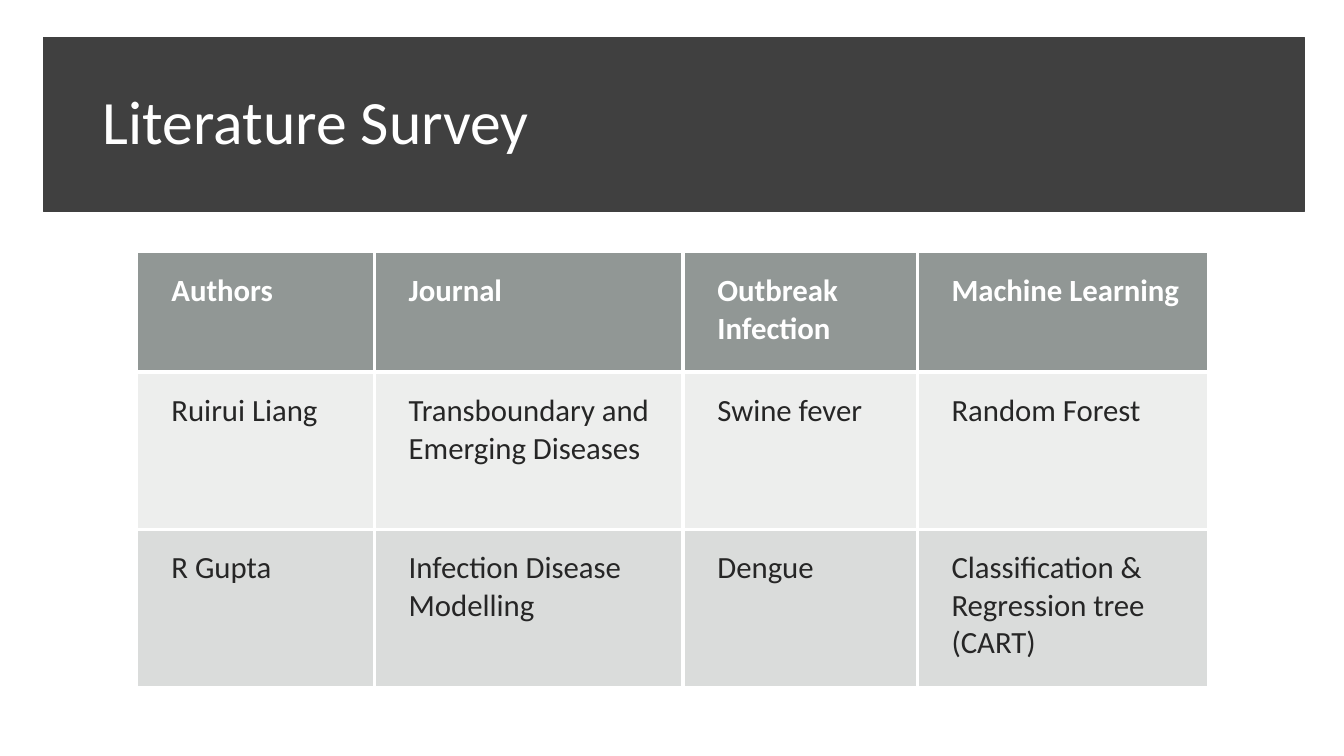
import dataclasses

import lxml.etree
import pptx
import pptx.dml.color
import pptx.enum.shapes
import pptx.enum.text
import pptx.oxml.ns
import pptx.util

Cm = pptx.util.Cm
Pt = pptx.util.Pt
qn = pptx.oxml.ns.qn


@dataclasses.dataclass(frozen=True)
class Theme:
    font: str = "Calibri"
    title_size: int = 44
    cell_size: int = 22
    banner: str = "404040"
    light: str = "FFFFFF"
    dark: str = "262626"
    header: tuple = ("636B68", 70)
    bands: tuple = (("878E8B", 15), ("878E8B", 30))
    rule_width: int = 3


def rgb(code):
    return pptx.dml.color.RGBColor.from_string(code)


def write(frame, text, *, font, size, color, bold=False, line_spacing=None):
    paragraph = frame.paragraphs[0]
    paragraph.alignment = pptx.enum.text.PP_ALIGN.LEFT
    if line_spacing:
        paragraph.line_spacing = line_spacing
    run = paragraph.add_run()
    run.text = text
    run.font.name = font
    run.font.size = Pt(size)
    run.font.bold = bold
    run.font.color.rgb = rgb(color)


class SlideBuilder:
    def __init__(self, deck, theme):
        self.theme = theme
        self.slide = deck.slides.add_slide(deck.slide_layouts[5])

    def banner(self, left, top, width, height):
        band = self.slide.shapes.add_shape(
            pptx.enum.shapes.MSO_SHAPE.RECTANGLE, left, top, width, height)
        band.shadow.inherit = False
        band.fill.solid()
        band.fill.fore_color.rgb = rgb(self.theme.banner)
        band.line.color.rgb = rgb(self.theme.banner)
        band.line.width = Pt(1)
        self.slide.shapes.title._element.addprevious(band._element)

    def title(self, text, left, top, width, height):
        heading = self.slide.shapes.title
        heading.left, heading.top = left, top
        heading.width, heading.height = width, height
        frame = heading.text_frame
        frame.word_wrap = True
        frame.auto_size = pptx.enum.text.MSO_AUTO_SIZE.NONE
        frame.vertical_anchor = pptx.enum.text.MSO_ANCHOR.MIDDLE
        write(frame, text, font=self.theme.font, size=self.theme.title_size,
              color=self.theme.light, line_spacing=0.9)

    def border(self, cell, side):
        rule = lxml.etree.SubElement(
            cell._tc.get_or_add_tcPr(), qn(f"a:ln{side}"), w=str(Pt(self.theme.rule_width)))
        fill = lxml.etree.SubElement(rule, qn("a:solidFill"))
        lxml.etree.SubElement(fill, qn("a:srgbClr"), val=self.theme.light)

    def shade(self, cell, color, opacity):
        cell.fill.solid()
        cell.fill.fore_color.rgb = rgb(color)
        tint = cell._tc.tcPr.find(f"{qn('a:solidFill')}/{qn('a:srgbClr')}")
        lxml.etree.SubElement(tint, qn("a:alpha"), val=str(opacity * 1000))

    def table(self, records, left, top, widths, heights):
        theme = self.theme
        grid = self.slide.shapes.add_table(
            len(heights), len(widths), left, top, sum(widths), sum(heights)).table
        grid.horz_banding = False
        for column, width in zip(grid.columns, widths):
            column.width = width
        for row, height in zip(grid.rows, heights):
            row.height = height
        last_row, last_column = len(heights) - 1, len(widths) - 1
        for r, record in enumerate(records):
            is_header = r == 0
            shade = theme.header if is_header else theme.bands[(r - 1) % len(theme.bands)]
            for c, text in enumerate(record):
                cell = grid.cell(r, c)
                cell.margin_left = Cm(0.86)
                cell.margin_top = cell.margin_right = cell.margin_bottom = Cm(0.51)
                inner = {"L": c > 0, "R": c < last_column, "T": r > 0, "B": r < last_row}
                for side, shown in inner.items():
                    if shown:
                        self.border(cell, side)
                self.shade(cell, *shade)
                write(cell.text_frame, text, font=theme.font, size=theme.cell_size,
                      color=theme.light if is_header else theme.dark, bold=is_header)


def main():
    deck = pptx.Presentation()
    deck.slide_width, deck.slide_height = Cm(33.87), Cm(19.05)
    survey = SlideBuilder(deck, Theme())
    survey.banner(Cm(1.09), Cm(0.94), Cm(31.78), Cm(4.39))
    survey.title("Literature Survey", Cm(2.34), Cm(1.3), Cm(29.21), Cm(3.68))
    studies = [
        ("Authors", "Journal", "Outbreak Infection", "Machine Learning"),
        ("Ruirui Liang", "Transboundary and Emerging Diseases", "Swine fever",
         "Random Forest"),
        ("R Gupta", "Infection Disease Modelling", "Dengue",
         "Classification & Regression tree (CART)"),
    ]
    survey.table(studies, Cm(3.46), Cm(6.36),
                 widths=[Cm(5.98), Cm(7.78), Cm(5.9), Cm(7.31)],
                 heights=[Cm(3.02), Cm(3.96), Cm(3.96)])
    deck.save("out.pptx")


if __name__ == "__main__":
    main()
